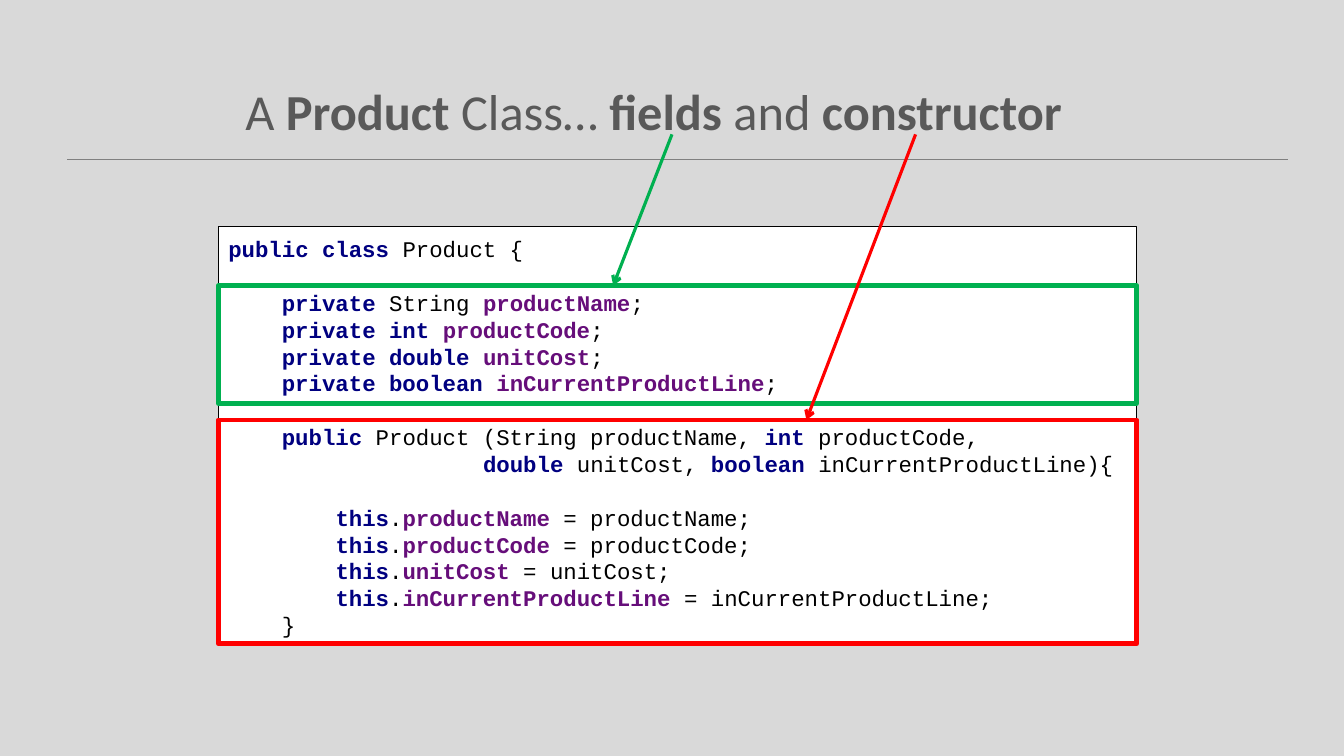
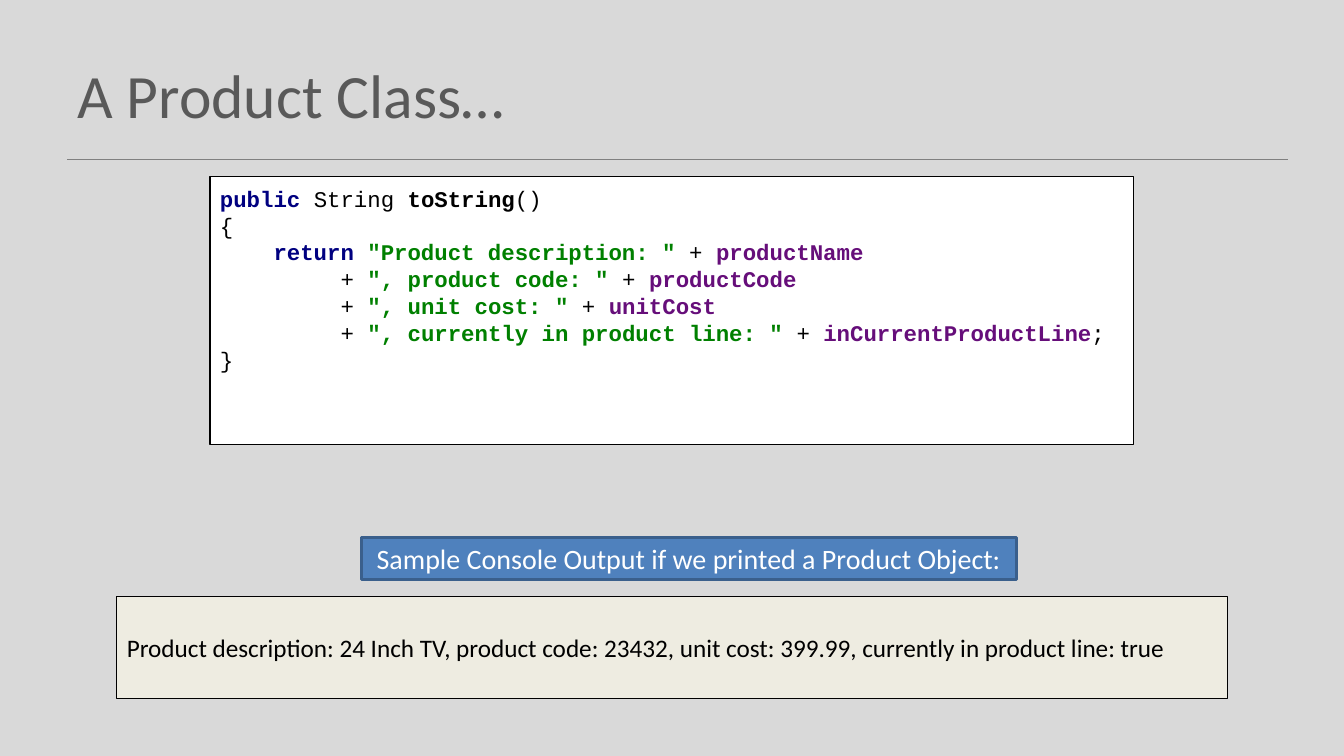
"""Build two slides that present a Product class in Java."""
from lxml import etree
from pptx import Presentation
from pptx.dml.color import RGBColor
from pptx.enum.shapes import MSO_CONNECTOR, MSO_SHAPE
from pptx.enum.text import MSO_ANCHOR, MSO_AUTO_SIZE, PP_ALIGN
from pptx.oxml.ns import qn
from pptx.util import Pt

STRAIGHT = MSO_CONNECTOR.STRAIGHT
RECTANGLE = MSO_SHAPE.RECTANGLE
TOP, MIDDLE = MSO_ANCHOR.TOP, MSO_ANCHOR.MIDDLE
LEFT, CENTER = PP_ALIGN.LEFT, PP_ALIGN.CENTER
NO_AUTOFIT = MSO_AUTO_SIZE.NONE

COLORS = {
    "background": "D9D9D9", "rule": "808080", "title": "595959",
    "black": "000000", "white": "FFFFFF",
    "keyword": "000080", "field": "660E7A", "string": "008000",
    "fields_frame": "00B050", "constructor_frame": "FF0000",
    "output": "EEECE1", "label": "4F81BD", "label_line": "3A5F8C",
}
BODY_FONT, CODE_FONT = "Calibri", "Courier New"
CODE_SIZE, CODE_PITCH = 16, 19.2
TITLE_ONLY = 5
SPAN_COLORS = {"k:": "keyword", "f:": "field", "s:": "string", "b:": None}

CLASS_CODE = """\
k:public class |Product {

    |k:private |String |f:productName|;
    |k:private int |f:productCode|;
    |k:private double |f:unitCost|;
    |k:private boolean |f:inCurrentProductLine|;

    |k:public |Product (String productName, |k:int |productCode,
                   |k:double |unitCost, |k:boolean |inCurrentProductLine){

        |k:this|.|f:productName |= productName;
        |k:this|.|f:productCode |= productCode;
        |k:this|.|f:unitCost |= unitCost;
        |k:this|.|f:inCurrentProductLine |= inCurrentProductLine;
    }"""

TO_STRING_CODE = """\
k:public |String |b:toString|()
{
    |k:return |s:"Product description: " |+ |f:productName
         + |s:", product code: " |+ |f:productCode
         + |s:", unit cost: " |+ |f:unitCost
         + |s:", currently in product line: " |+ |f:inCurrentProductLine|;
}"""


def color(name):
    """Return the named colour."""
    return RGBColor.from_string(COLORS[name])


def write(para, markup, font, size, ink, align=LEFT):
    """Fill a paragraph with spans split by bars; a prefix marks bold styles."""
    para.alignment = align
    para.font.name, para.font.size = font, Pt(size)
    para.font.color.rgb = color(ink)
    for part in markup.split("|"):
        style = part[:2] if part[:2] in SPAN_COLORS else ""
        span = para.add_run()
        span.text = part[len(style):]
        if style:
            span.font.bold = True
            if SPAN_COLORS[style]:
                span.font.color.rgb = color(SPAN_COLORS[style])


def add_line(slide, start, end, ink, width, arrow=False):
    """Draw a straight line, with an open arrowhead at its end if asked."""
    line = slide.shapes.add_connector(STRAIGHT, *map(Pt, start + end))
    line.line.color.rgb = color(ink)
    line.line.width = Pt(width)
    properties = line._element.spPr
    if arrow:
        outline = properties.find(qn("a:ln"))
        etree.SubElement(outline, qn("a:tailEnd"), type="arrow")
    etree.SubElement(properties, qn("a:effectLst"))


def add_box(slide, area, fill, ink, width):
    """Draw a rectangle, hollow when fill is None."""
    box = slide.shapes.add_shape(RECTANGLE, *map(Pt, area))
    box.shadow.inherit = False
    if fill:
        box.fill.solid()
        box.fill.fore_color.rgb = color(fill)
    else:
        box.fill.background()
    box.line.color.rgb = color(ink)
    box.line.width = Pt(width)
    box.text_frame.word_wrap = True
    box.text_frame.vertical_anchor = MIDDLE
    return box


def add_code(slide, area, code):
    """Draw a listing; each empty line becomes space before the next."""
    frame = add_box(slide, area, "white", "black", 0.75).text_frame
    frame.vertical_anchor = TOP
    frame.margin_top = Pt(6)
    para, gap = frame.paragraphs[0], 0
    for number, markup in enumerate(code.split("\n")):
        if not markup:
            gap += CODE_PITCH
            continue
        if number:
            para = frame.add_paragraph()
        para.line_spacing = Pt(CODE_PITCH)
        para.space_before = Pt(gap)
        write(para, markup, CODE_FONT, CODE_SIZE, "black")
        gap = 0


def add_page(deck, title, area, size):
    """Add a slide with its title and the rule below it."""
    slide = deck.slides.add_slide(deck.slide_layouts[TITLE_ONLY])
    box = slide.shapes.title
    box.left, box.top, box.width, box.height = map(Pt, area)
    frame = box.text_frame
    frame.word_wrap, frame.auto_size = True, NO_AUTOFIT
    frame.vertical_anchor = MIDDLE
    write(frame.paragraphs[0], title, BODY_FONT, size, "title")
    add_line(slide, (48, 114), (920, 114), "rule", 1)
    return slide


def add_class_page(deck):
    """Show the class with its fields and constructor framed."""
    title = "A |b:Product| Class… |b:fields |and|b: constructor"
    slide = add_page(deck, title, (168, 34, 648, 90), 36)
    left, width = 156, 656
    add_code(slide, (left, 162, width, 298), CLASS_CODE)
    parts = (
        ("fields_frame", 204, 84, 480, 438),
        ("constructor_frame", 300, 160, 654, 576),
    )
    for ink, top, height, _, _ in parts:
        add_box(slide, (left, top, width, height), None, ink, 3.5)
    for ink, top, _, start, end in parts:
        add_line(slide, (start, 96), (end, top), ink, 2.25, arrow=True)


def add_output_page(deck):
    """Show toString and a sample of what it prints."""
    slide = add_page(deck, "A Product Class…", (48, 22, 864, 90), 44)
    add_code(slide, (150, 126, 660, 191.5), TO_STRING_CODE)
    output = add_box(slide, (83.5, 426, 793, 73), "output", "black", 0.75)
    write(output.text_frame.paragraphs[0],
          "Product description: 24 Inch TV, product code: 23432, "
          "unit cost: 399.99, currently in product line: true",
          BODY_FONT, 18, "black")
    label = add_box(slide, (258, 384, 468, 30), "label", "label_line", 2)
    write(label.text_frame.paragraphs[0],
          "Sample Console Output if we printed a Product Object:",
          BODY_FONT, 20, "white", CENTER)


def main():
    """Build and save the deck."""
    deck = Presentation()
    deck.slide_width, deck.slide_height = Pt(960), Pt(540)
    backdrop = deck.slide_master.background.fill
    backdrop.solid()
    backdrop.fore_color.rgb = color("background")
    add_class_page(deck)
    add_output_page(deck)
    deck.save("out.pptx")


if __name__ == "__main__":
    main()
